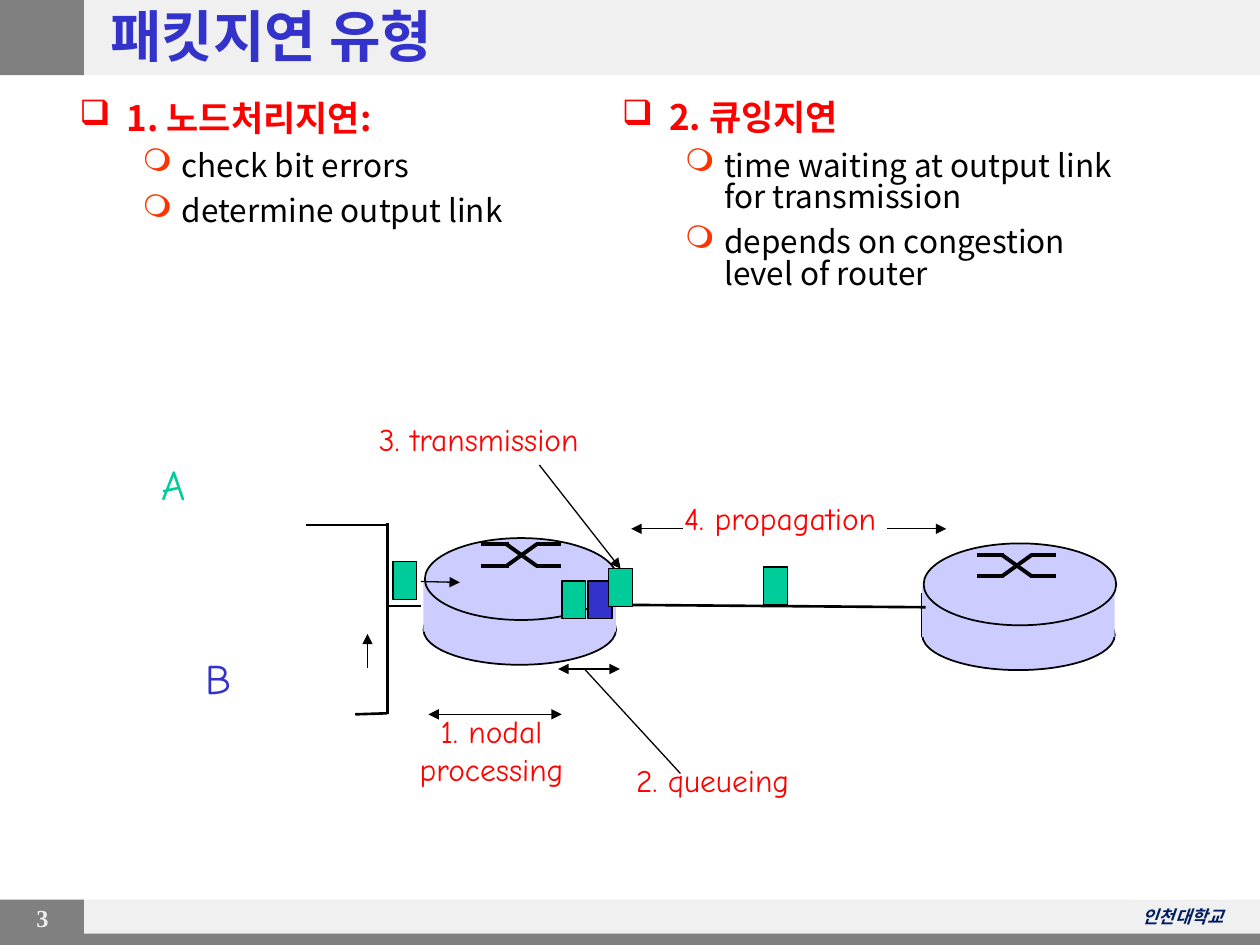
"""Build the slide on packet delay types: two bulleted lists above a router diagram."""
from lxml.etree import SubElement
from pptx import Presentation
from pptx.dml.color import RGBColor
from pptx.enum.shapes import MSO_CONNECTOR, MSO_SHAPE
from pptx.enum.text import MSO_ANCHOR, PP_ALIGN
from pptx.oxml.ns import qn
from pptx.util import Pt

COLORS = {
    "band": "F0F0F0", "gray": "808080", "number": "EEEEEE", "navy": "011C61",
    "blue": "3333CC", "red": "FF0000", "orange": "FF3300", "black": "000000",
    "lilac": "CCCCFF", "green": "00CC99",
}
KOREAN, COMIC, SERIF = "Noto Sans CJK KR", "Comic Neue", "Times New Roman"
STYLES = {
    "number": (14, SERIF, "number", True, False),
    "school": (10, KOREAN, "navy", True, True),
    "title": (32, KOREAN, "blue", True, False),
    "heading": (20, KOREAN, "red", True, False),
    "item": (18, KOREAN, "black", False, False),
    "host A": (24, COMIC, "green", False, False),
    "host B": (24, COMIC, "blue", False, False),
    "delay": (18, COMIC, "red", False, False),
}
BULLETS = {
    "heading": ("❑", "red", 0, 27, 27),
    "item": ("❍", "orange", 1, 58.5, 22.5),
}

deck = Presentation()
deck.slide_width, deck.slide_height = Pt(720), Pt(540)
page = deck.slides.add_slide(deck.slide_layouts[6])


def add_shape(kind, left, top, width, height, fill, outline=None):
    shape = page.shapes.add_shape(kind, Pt(left), Pt(top), Pt(width), Pt(height))
    shape.shadow.inherit = False
    shape.fill.solid()
    shape.fill.fore_color.rgb = RGBColor.from_string(COLORS[fill])
    if outline:
        shape.line.color.rgb = RGBColor.from_string(COLORS["black"])
        shape.line.width = Pt(outline)
    else:
        shape.line.fill.background()
    return shape


def add_line(x1, y1, x2, y2, width, arrows=()):
    line = page.shapes.add_connector(
        MSO_CONNECTOR.STRAIGHT, Pt(x1), Pt(y1), Pt(x2), Pt(y2))
    line.line.color.rgb = RGBColor.from_string(COLORS["black"])
    line.line.width = Pt(width)
    properties = line._element.spPr
    for end in arrows:
        SubElement(properties.find(qn("a:ln")), qn(f"a:{end}"), type="triangle")
    SubElement(properties, qn("a:effectLst"))
    return line


for left, top, width, height, fill in [
    (0, 514, 720, 26, "band"),
    (0, 514, 48, 26, "gray"),
    (0, 0, 720, 43, "band"),
    (0, 0, 48, 43, "gray"),
    (0, 533.5, 720, 6.5, "gray"),
]:
    add_shape(MSO_SHAPE.RECTANGLE, left, top, width, height, fill)

for left, top, switch_left, switch_top, has_edge in [
    (242, 307.5, 275, 311, False),
    (527, 310.5, 558, 317, True),
]:
    add_shape(MSO_SHAPE.OVAL, left, top + 32.4, 110, 40, "lilac", 1)
    if has_edge:
        add_line(left, top + 28.6, left, top + 53.8, 1)
    add_shape(MSO_SHAPE.RECTANGLE, left, top + 24.7, 110, 28.8, "lilac")
    add_shape(MSO_SHAPE.OVAL, left + 0.8, top, 110, 46.8, "lilac", 1)
    for start, end in [(0, 12.4), (12.4, 0)]:
        for x1, y1, x2, y2 in [
            (0, start, 16, start), (14.4, start, 31.7, end), (31, end, 45.4, end),
        ]:
            add_line(switch_left + x1, switch_top + y1,
                     switch_left + x2, switch_top + y2, 2.25)

for x1, y1, x2, y2 in [
    (175, 300, 221.3, 300),
    (203, 408.2, 221.3, 407.6),
    (352, 345.6, 529, 347),
    (221.3, 299, 221.3, 408),
    (222.5, 346.3, 240.5, 346.3),
]:
    add_line(x1, y1, x2, y2, 1.5)

for left, top, fill in [
    (436.3, 324, "green"),
    (321.1, 332, "green"),
    (336, 332, "blue"),
    (224.5, 321, "green"),
    (347.8, 325, "green"),
]:
    sent_packet = add_shape(MSO_SHAPE.RECTANGLE, left, top, 13.7, 21.6, fill, 0.75)

transmission_arrow = add_line(308.2, 265.7, 354.65, 325, 0.75, ["tailEnd"])
transmission_arrow.end_connect(sent_packet, 0)
for x1, y1, x2, y2, arrows in [
    (240.5, 332.3, 262.8, 332.8, ["tailEnd"]),
    (210, 381.6, 210, 362.2, ["tailEnd"]),
    (507, 302.2, 540.7, 302.2, ["tailEnd"]),
    (390.2, 302.2, 360.7, 302.2, ["tailEnd"]),
    (321, 408.2, 244.8, 408.2, ["headEnd", "tailEnd"]),
    (354.2, 382.3, 319, 382.3, ["headEnd", "tailEnd"]),
    (388.8, 442, 334, 382.3, []),
]:
    add_line(x1, y1, x2, y2, 0.75, arrows)

LEFT, CENTER, RIGHT = PP_ALIGN.LEFT, PP_ALIGN.CENTER, PP_ALIGN.RIGHT
TOP, MIDDLE = MSO_ANCHOR.TOP, MSO_ANCHOR.MIDDLE
for left, top, width, height, align, anchor, wrap, lines in [
    (3, 512.6, 42.5, 24, CENTER, TOP, True, [("3", "number")]),
    (587, 514, 119, 19.5, RIGHT, TOP, True, [("인천대학교", "school")]),
    (56, -3, 612, 46, LEFT, MIDDLE, True, [("패킷지연 유형", "title")]),
    (38.2, 55.4, 286.5, 106, LEFT, TOP, True, [
        ("1. 노드처리지연:", "heading"),
        ("check bit errors", "item"),
        ("determine output link", "item"),
    ]),
    (348.2, 55.4, 300, 155.5, LEFT, TOP, True, [
        ("2. 큐잉지연", "heading"),
        ("time waiting at output link for transmission", "item"),
        ("depends on congestion level of router", "item"),
    ]),
    (85, 258.5, 37.5, 49.7, LEFT, TOP, False, [("A", "host A")]),
    (110.2, 369.4, 34.5, 49.7, LEFT, TOP, False, [("B", "host B")]),
    (383.8, 281.5, 134.6, 28.8, LEFT, TOP, False, [("4. propagation", "delay")]),
    (209.5, 236.2, 141.8, 28.8, LEFT, TOP, False, [("3. transmission", "delay")]),
    (229, 403.2, 103.7, 51, CENTER, TOP, False, [
        ("1. nodal", "delay"),
        ("processing", "delay"),
    ]),
    (356.4, 431.3, 108, 28.8, LEFT, TOP, False, [("2. queueing", "delay")]),
]:
    box = page.shapes.add_textbox(Pt(left), Pt(top), Pt(width), Pt(height))
    frame = box.text_frame
    frame.word_wrap = wrap
    frame.vertical_anchor = anchor
    for index, (text, style) in enumerate(lines):
        para = frame.add_paragraph() if index else frame.paragraphs[0]
        para.alignment = align
        size, font, color, bold, italic = STYLES[style]
        if style in BULLETS:
            mark, mark_color, level, margin, hanging = BULLETS[style]
            para.level = level
            properties = para._p.get_or_add_pPr()
            properties.set("marL", str(Pt(margin)))
            properties.set("indent", str(-Pt(hanging)))
            tint = SubElement(properties, qn("a:buClr"))
            SubElement(tint, qn("a:srgbClr"), val=COLORS[mark_color])
            SubElement(properties, qn("a:buChar"), char=mark)
            para.line_spacing = 0.83
            if index:
                para.space_before = Pt(8)
        span = para.add_run()
        span.text = text
        span.font.size = Pt(size)
        span.font.name = font
        span.font.bold = bold
        span.font.italic = italic
        span.font.color.rgb = RGBColor.from_string(COLORS[color])
        SubElement(span._r.get_or_add_rPr(), qn("a:ea"), typeface=font)

deck.save("out.pptx")
